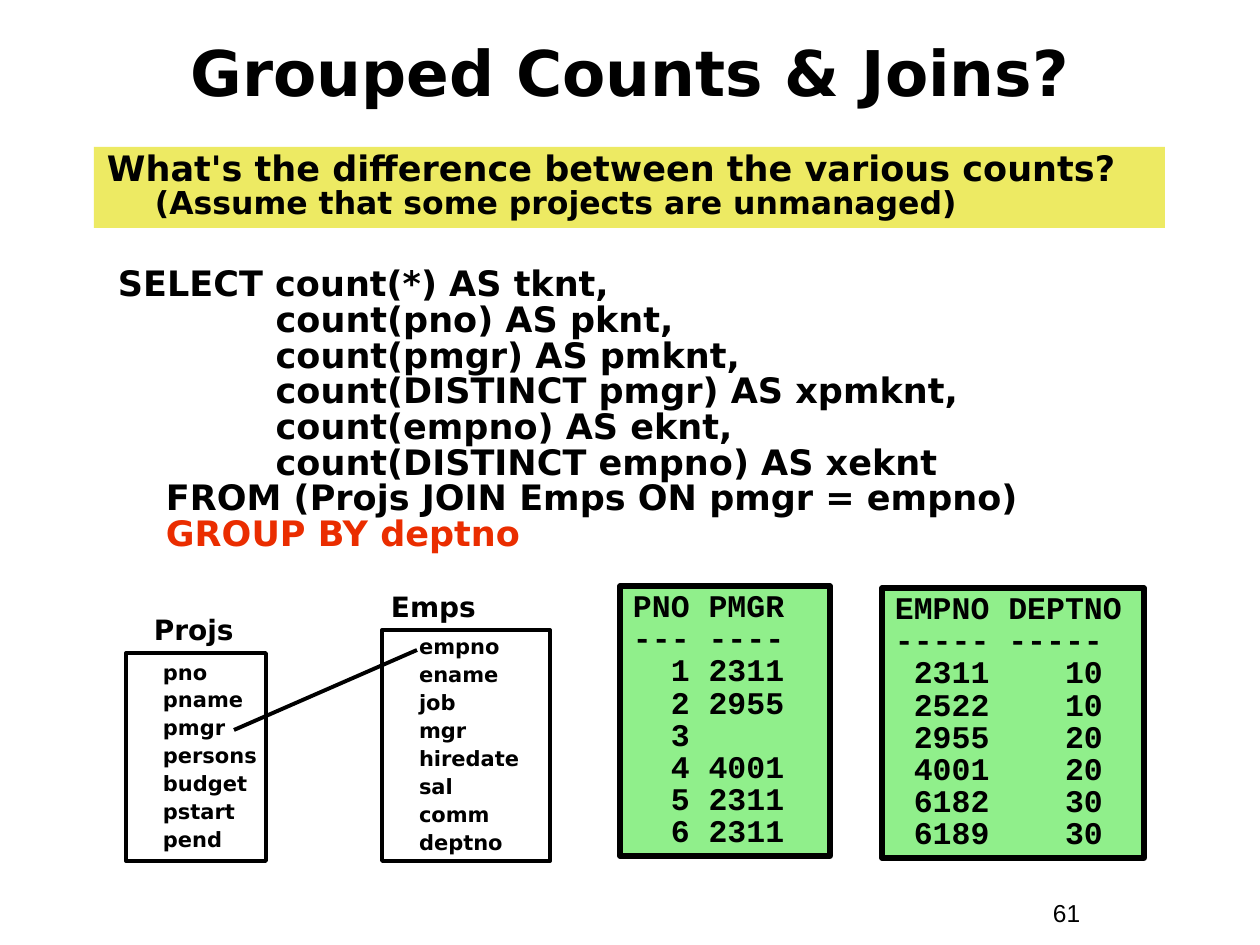
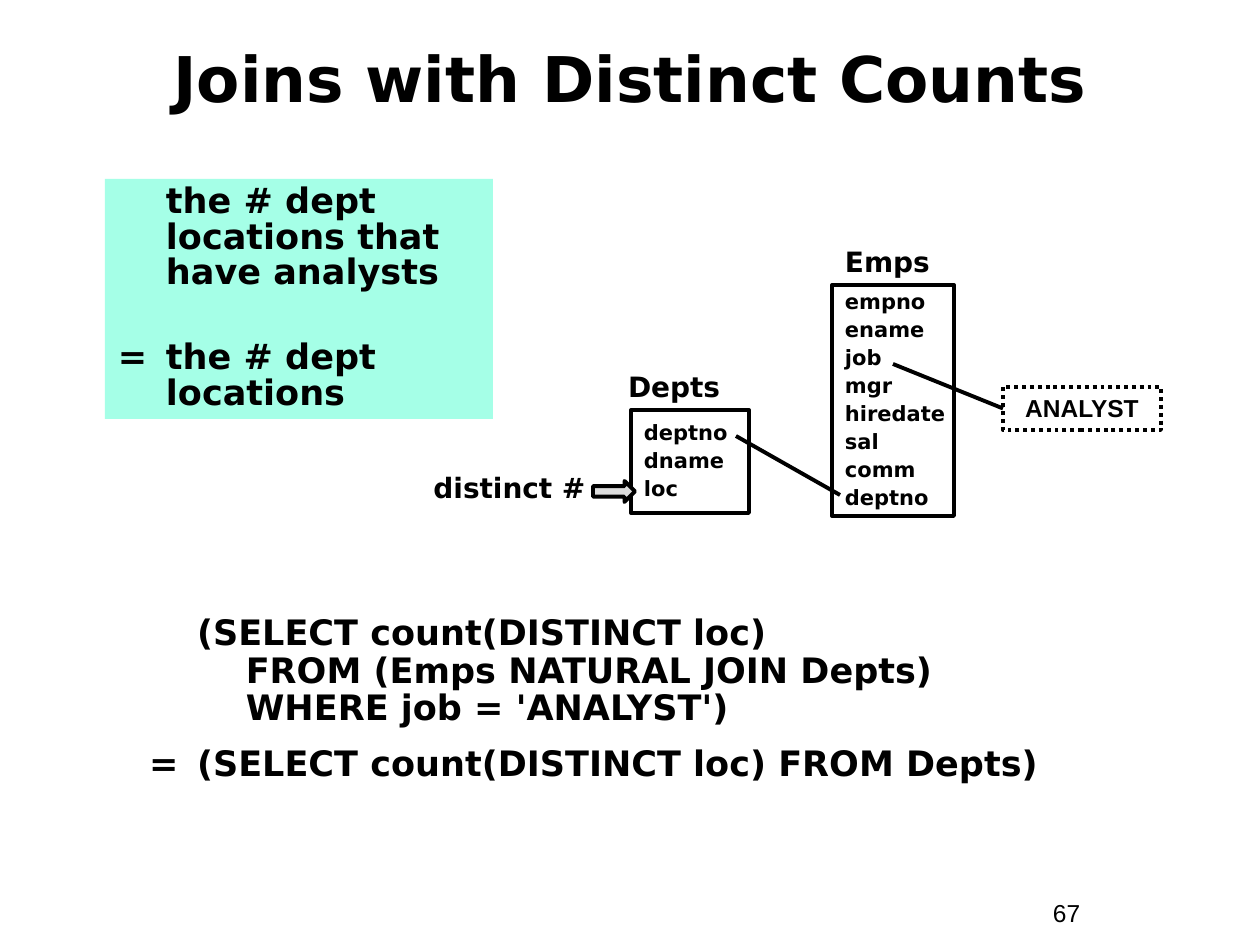
"""Build two slides about counting over joined tables."""
from collections import namedtuple
from dataclasses import dataclass, replace

from lxml import etree
from pptx import Presentation
from pptx.dml.color import RGBColor
from pptx.enum import dml, shapes, text
from pptx.oxml import ns
from pptx.util import Emu, Pt

BLACK = RGBColor(0x00, 0x00, 0x00)
RED = RGBColor(0xEA, 0x2D, 0x00)
YELLOW = RGBColor(0xED, 0xEA, 0x63)
GREEN = RGBColor(0x90, 0xEF, 0x8B)
MINT = RGBColor(0xA5, 0xFF, 0xE7)
GREY = RGBColor(0xDD, 0xDD, 0xDD)

PX_PER_INCH = 126
SLIDE_WIDTH, SLIDE_HEIGHT = 1260, 945
INSET_X, INSET_Y = 13, 6
HANG = 48
LABEL_HEIGHT = 43
LINE_WIDTH = 2.25

Box = namedtuple("Box", "left top width height")


@dataclass(frozen=True)
class Style:
    """Hold the text settings shared by the paragraphs of one box."""
    size: int
    font: str = "DejaVu Sans"
    bold: bool = True
    spacing: float = 1.0
    before: float = 0
    align: text.PP_ALIGN = text.PP_ALIGN.LEFT
    anchor: text.MSO_ANCHOR = text.MSO_ANCHOR.TOP
    left: int = 0
    hang: int = 0


TITLE = Style(36, align=text.PP_ALIGN.CENTER, anchor=text.MSO_ANCHOR.MIDDLE)
PAGE_NUMBER = Style(14, font="Arial", bold=False)
VALUE = Style(14, font="Arial", align=text.PP_ALIGN.CENTER)
BODY = Style(20, spacing=0.85, left=HANG, hang=HANG)
LABEL = Style(16, spacing=0.9)
FIELD = Style(12, spacing=0.9, before=3, anchor=text.MSO_ANCHOR.MIDDLE)
ROW = Style(18, font="Courier New", spacing=0.85)

EMPS_FIELDS = ["empno", "ename", "job", "mgr", "hiredate", "sal", "comm", "deptno"]
PROJS_FIELDS = ["pno", "pname", "pmgr", "persons", "budget", "pstart", "pend"]
DEPTS_FIELDS = ["deptno", "dname", "loc"]
PROJS_ROWS = ["PNO PMGR", "--- ----", "  1 2311", "  2 2955", "  3",
              "  4 4001", "  5 2311", "  6 2311"]
EMPS_ROWS = ["EMPNO DEPTNO", "----- -----", " 2311    10", " 2522    10",
             " 2955    20", " 4001    20", " 6182    30", " 6189    30"]
GROUPED_QUERY = """SELECT count(*) AS tknt,
         count(pno) AS pknt,
         count(pmgr) AS pmknt,
         count(DISTINCT pmgr) AS xpmknt,
         count(empno) AS eknt,
         count(DISTINCT empno) AS xeknt
FROM (Projs JOIN Emps ON pmgr = empno)
GROUP BY deptno"""
ANALYST_QUERY = """(SELECT count(DISTINCT loc)
    FROM (Emps NATURAL JOIN Depts)
    WHERE job = 'ANALYST')"""


def px(length):
    """Turn a length in px into EMU."""
    return Emu(round(length * 914400 / PX_PER_INCH))


def scaled(box):
    """Return the four lengths of a box in EMU."""
    return [px(length) for length in box]


def write(shape, paragraphs, style, right=INSET_X):
    """Fill a shape with paragraphs whose lines are parted by newlines."""
    frame = shape.text_frame
    frame.word_wrap = True
    frame.vertical_anchor = style.anchor
    frame.margin_left, frame.margin_right = px(INSET_X), px(right)
    frame.margin_top = frame.margin_bottom = px(INSET_Y)
    for index, content in enumerate(paragraphs):
        paragraph = frame.add_paragraph() if index else frame.paragraphs[0]
        paragraph.alignment = style.align
        paragraph.line_spacing = style.spacing
        paragraph.space_before = Pt(style.before if index else 0)
        set_indent(paragraph, style.left, style.hang)
        for number, line in enumerate(content.split("\n")):
            if number:
                paragraph.add_line_break()
            run = paragraph.add_run()
            run.text = line
            run.font.name = style.font
            run.font.size = Pt(style.size)
            run.font.bold = style.bold
            run.font.color.rgb = BLACK
    return frame.paragraphs


def set_indent(paragraph, left, hang=0):
    """Set the left margin and the hanging first line of a paragraph."""
    properties = paragraph._p.get_or_add_pPr()
    properties.set("marL", str(px(left)))
    properties.set("indent", str(-px(hang)))


def add_text(slide, box, paragraphs, style):
    """Add a text box and return its paragraphs."""
    return write(slide.shapes.add_textbox(*scaled(box)), paragraphs, style)


def add_block(slide, box, fill=None, line=None, kind=shapes.MSO_SHAPE.RECTANGLE):
    """Add a shape with an optional fill and black outline."""
    shape = slide.shapes.add_shape(kind, *scaled(box))
    shape.shadow.inherit = False
    if fill is None:
        shape.fill.background()
    else:
        shape.fill.solid()
        shape.fill.fore_color.rgb = fill
    if line is None:
        shape.line.fill.background()
    else:
        shape.line.color.rgb = BLACK
        shape.line.width = Pt(line)
    return shape


def add_link(slide, start, end):
    """Add a straight black line between two points."""
    link = slide.shapes.add_connector(
        shapes.MSO_CONNECTOR.STRAIGHT, *scaled(start + end))
    link.line.color.rgb = BLACK
    link.line.width = Pt(LINE_WIDTH)
    etree.SubElement(link._element.spPr, ns.qn("a:effectLst"))
    return link


def add_entity(slide, box, name, fields, label_shift=0, indent=0):
    """Add an outlined list of fields with its table name above."""
    shape = add_block(slide, box, line=LINE_WIDTH)
    write(shape, fields, replace(FIELD, left=indent), right=0)
    label = Box(box.left + label_shift, box.top - LABEL_HEIGHT, 160, LABEL_HEIGHT)
    add_text(slide, label, [name], LABEL)


def add_rows(slide, box, rows):
    """Add a green panel of sample rows."""
    write(add_block(slide, box, GREEN, 3), rows, ROW)


def add_base_slide(presentation, title, box, number, spacing=1.0):
    """Add a blank slide with a title and a page number."""
    slide = presentation.slides.add_slide(presentation.slide_layouts[6])
    add_text(slide, Box(1040, 892, 116, 43), [number], PAGE_NUMBER)
    add_text(slide, box, [title], replace(TITLE, spacing=spacing))
    return slide


def add_question(slide, box):
    """Add the yellow question band."""
    question = ("What's the difference between the various counts?\n"
                "(Assume that some projects are unmanaged)")
    paragraphs = write(add_block(slide, box, YELLOW), [question], BODY)
    paragraphs[0].runs[-1].font.size = Pt(18)


def add_equation(slide, box):
    """Add the mint panel that compares two location counts."""
    paragraphs = write(
        add_block(slide, box, MINT),
        ["the # dept locations that have analysts", "=\tthe # dept locations"],
        replace(BODY, before=28))
    set_indent(paragraphs[0], HANG)


def add_distinct_marker(slide, box):
    """Add the label and arrow that point at the counted field."""
    add_text(slide, Box(box.left, box.top, 179, box.height), ["distinct #"],
             replace(LABEL, spacing=0.85, align=text.PP_ALIGN.CENTER))
    add_block(slide, Box(box.left + 173, box.top + 11, 42, 21), GREY,
              LINE_WIDTH, shapes.MSO_SHAPE.RIGHT_ARROW)


def add_condition(slide, box, start):
    """Add the dotted value box joined to the field it restricts."""
    value = add_block(slide, box, line=LINE_WIDTH)
    value.line.dash_style = dml.MSO_LINE.ROUND_DOT
    write(value, ["ANALYST"], VALUE)
    link = add_link(slide, start, (box.left, box.top + box.height // 2))
    link.end_connect(value, 1)


def build_grouped_counts(presentation):
    """Build the slide on grouped counts."""
    slide = add_base_slide(presentation, "Grouped Counts & Joins?",
                           Box(42, 13, 1176, 116), "61")
    query = add_text(slide, Box(105, 262, 1061, 299), [GROUPED_QUERY], BODY)
    query[0].runs[-1].font.color.rgb = RED
    add_question(slide, Box(94, 147, 1071, 81))
    add_entity(slide, Box(382, 630, 168, 231), "Emps", EMPS_FIELDS, -4, 24)
    add_entity(slide, Box(126, 653, 140, 208), "Projs", PROJS_FIELDS, 15, 24)
    add_link(slide, (417, 650), (234, 730))
    add_rows(slide, Box(620, 586, 210, 270), PROJS_ROWS)
    add_rows(slide, Box(882, 588, 262, 270), EMPS_ROWS)


def build_distinct_counts(presentation):
    """Build the slide on joins with distinct counts."""
    slide = add_base_slide(presentation, "Joins with Distinct Counts",
                           Box(42, 42, 1176, 84), "67", 0.8)
    queries = add_text(
        slide, Box(136, 609, 1050, 242),
        [ANALYST_QUERY, "=\t(SELECT count(DISTINCT loc) FROM Depts)"],
        replace(BODY, spacing=0.9, before=10))
    set_indent(queries[0], HANG)
    add_entity(slide, Box(832, 285, 122, 231), "Emps", EMPS_FIELDS)
    add_entity(slide, Box(631, 410, 118, 103), "Depts", DEPTS_FIELDS, -16)
    add_link(slide, (736, 436), (840, 495))
    add_condition(slide, Box(1003, 387, 158, 43), (893, 364))
    add_equation(slide, Box(105, 179, 388, 240))
    add_distinct_marker(slide, Box(420, 470, 215, 42))


def main():
    """Build the presentation and save it."""
    presentation = Presentation()
    presentation.slide_width = px(SLIDE_WIDTH)
    presentation.slide_height = px(SLIDE_HEIGHT)
    build_grouped_counts(presentation)
    build_distinct_counts(presentation)
    presentation.save("out.pptx")


if __name__ == "__main__":
    main()
